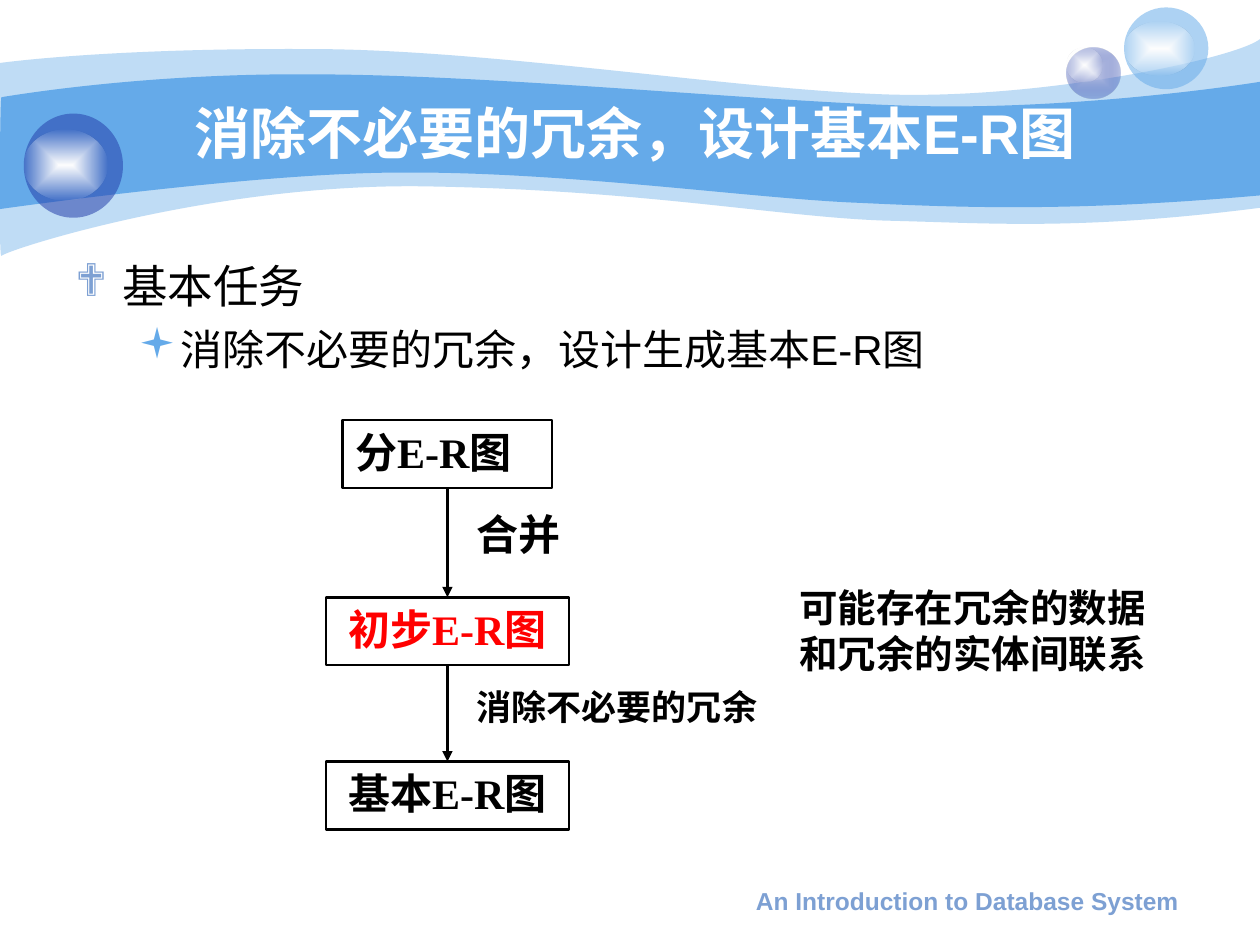
"""Build the slide on removing redundancy from a preliminary E-R diagram."""
from lxml.etree import SubElement
from pptx import Presentation
from pptx.dml.color import RGBColor
from pptx.enum.shapes import MSO_CONNECTOR, MSO_SHAPE
from pptx.enum.text import MSO_ANCHOR, PP_ALIGN
from pptx.oxml.ns import qn
from pptx.util import Cm, Pt

BLACK = RGBColor(0x00, 0x00, 0x00)
WHITE = RGBColor(0xFF, 0xFF, 0xFF)
RED = RGBColor(0xFF, 0x00, 0x00)
SKY = RGBColor(0x65, 0xAA, 0xE9)
NAVY = RGBColor(0x23, 0x3D, 0xA9)
LAVENDER = RGBColor(0xC7, 0xCE, 0xE9)
STEEL = RGBColor(0x7D, 0xA0, 0xD3)

SANS = "Arial"
SERIF = "Times New Roman"
FLOW_CENTER = 9.02
BOX_HEIGHT = 1.37

OUTER_WAVE = [
    [(0, 1.27)],
    [(0.61, 1.19), (2.72, 0.97), (6.27, 0.99)],
    [(9.8, 0.99), (14.6, 1.78), (17.75, 1.9)],
    [(20.88, 2.03), (24.89, 1.19), (25.4, 0.79)],
    [(25.4, 4.19)],
    [(21.79, 4.65), (19.99, 4.5), (17.91, 4.45)],
    [(15.8, 4.39), (13.08, 3.84), (8.71, 3.76)],
    [(4.37, 3.66), (0.1, 5.05), (0.03, 5.16)],
    [(-0.03, 5.28), (0, 1.9), (0, 1.27)],
]
INNER_WAVE = [
    [(0.03, 1.96)],
    [(0.05, 1.96), (2.79, 1.47), (6.3, 1.5)],
    [(9.8, 1.5), (15.11, 2.03), (18.24, 2.13)],
    [(21.36, 2.24), (24.79, 1.75), (25.4, 1.65)],
    [(25.4, 3.94)],
    [(21.67, 4.27), (19.43, 4.19), (17.32, 4.09)],
    [(15.21, 4.01), (11.35, 3.45), (8.05, 3.48)],
    [(5.16, 3.48), (-0.05, 4.22), (-0.03, 4.22)],
    [(0, 4.22), (0, 1.96), (0.03, 1.96)],
]


def set_alpha(color_element, percent):
    """Make a colour element partly transparent."""
    SubElement(color_element, qn("a:alpha")).set("val", str(percent * 1000))


def fill_solid(shape, color, alpha=100):
    """Fill a shape with one colour and no outline."""
    shape.shadow.inherit = False
    shape.line.fill.background()
    shape.fill.solid()
    shape.fill.fore_color.rgb = color
    if alpha < 100:
        set_alpha(shape._element.spPr.find(".//" + qn("a:srgbClr")), alpha)


def fill_glow(shape, center, edge, edge_alpha):
    """Fill a shape with a gradient from its centre to a transparent edge."""
    shape.shadow.inherit = False
    shape.line.fill.background()
    shape.fill.gradient()
    for stop, color, position in zip(shape.fill.gradient_stops, (center, edge), (0, 1)):
        stop.color.rgb = color
        stop.position = position
    gradient = shape._element.spPr.find(qn("a:gradFill"))
    set_alpha(gradient.findall(".//" + qn("a:srgbClr"))[1], edge_alpha)
    gradient.remove(gradient.find(qn("a:lin")))
    focus = SubElement(gradient, qn("a:path"))
    focus.set("path", "rect")
    rectangle = SubElement(focus, qn("a:fillToRect"))
    for side in "ltrb":
        rectangle.set(side, "50000")


def bend_outline(shape, segments):
    """Turn each run of three outline points into one cubic curve."""
    outline = shape._element.spPr.find(".//" + qn("a:path"))
    close = outline.find(qn("a:close"))
    lines = iter(outline.findall(qn("a:lnTo")))
    for segment in segments[1:]:
        if len(segment) == 3:
            curve = SubElement(outline, qn("a:cubicBezTo"))
            for _ in segment:
                line = next(lines)
                curve.append(line[0])
                outline.remove(line)
        else:
            outline.append(next(lines))
    outline.append(close)


def add_wave(slide, segments, alpha=100):
    """Draw a closed band from curves and straight segments."""
    vertices = [(Cm(x), Cm(y)) for segment in segments for x, y in segment]
    builder = slide.shapes.build_freeform(*vertices[0])
    builder.add_line_segments(vertices[1:], close=True)
    wave = builder.convert_to_shape()
    bend_outline(wave, segments)
    fill_solid(wave, SKY, alpha)


def add_ellipse(slide, *frame):
    """Add an ellipse at left, top, width and height."""
    return slide.shapes.add_shape(MSO_SHAPE.OVAL, *map(Cm, frame))


def add_highlight(slide, *frame):
    """Add a white glow on a bubble."""
    fill_glow(add_ellipse(slide, *frame), WHITE, WHITE, 0)


def format_run(run, size, color, font, bold):
    """Set the look of a run."""
    run.font.size = Pt(size)
    run.font.color.rgb = color
    run.font.name = font
    run.font.bold = bold


def write_text(shape, text, size, color=BLACK, font=SERIF, align=PP_ALIGN.JUSTIFY,
               anchor=MSO_ANCHOR.TOP, wrap=True):
    """Write bold text into a shape."""
    frame = shape.text_frame
    frame.word_wrap = wrap
    frame.vertical_anchor = anchor
    frame.text = text
    for paragraph in frame.paragraphs:
        paragraph.alignment = align
        for run in paragraph.runs:
            format_run(run, size, color, font, True)


def add_label(slide, frame, text, size, **style):
    """Add a text box with bold text."""
    write_text(slide.shapes.add_textbox(*map(Cm, frame)), text, size, **style)


def add_flow_box(slide, top, width, text, **style):
    """Add an outlined box centred on the flow."""
    frame = (FLOW_CENTER - width / 2, top, width, BOX_HEIGHT)
    box = slide.shapes.add_shape(MSO_SHAPE.RECTANGLE, *map(Cm, frame))
    box.shadow.inherit = False
    box.fill.background()
    box.line.color.rgb = BLACK
    box.line.width = Pt(1.5)
    write_text(box, text, 24, **style)


def add_flow_arrow(slide, top, bottom):
    """Add a downward arrow on the centre of the flow."""
    center = Cm(FLOW_CENTER)
    arrow = slide.shapes.add_connector(MSO_CONNECTOR.STRAIGHT, center, Cm(top), center, Cm(bottom))
    arrow.line.color.rgb = BLACK
    arrow.line.width = Pt(1.5)
    SubElement(arrow.line._ln, qn("a:tailEnd")).set("type", "triangle")
    SubElement(arrow._element.spPr, qn("a:effectLst"))


def format_bullet(paragraph, mark, color, margin, hanging, size):
    """Give a paragraph a coloured bullet and a hanging indent."""
    properties = paragraph._p.get_or_add_pPr()
    properties.set("marL", str(Cm(margin)))
    properties.set("indent", str(-Cm(hanging)))
    bullet_color = SubElement(properties, qn("a:buClr"))
    SubElement(bullet_color, qn("a:srgbClr")).set("val", str(color))
    SubElement(properties, qn("a:buFont")).set("typeface", "Wingdings")
    SubElement(properties, qn("a:buChar")).set("char", mark)
    for run in paragraph.runs:
        format_run(run, size, BLACK, SANS, False)


def add_task_list(slide):
    """Add the bulleted task and its detail."""
    frame = slide.shapes.add_textbox(Cm(1.27), Cm(5.08), Cm(22.86), Cm(12.5)).text_frame
    frame.word_wrap = True
    frame.text = "基本任务\n消除不必要的冗余，设计生成基本E-R图"
    task, detail = frame.paragraphs
    format_bullet(task, "❖", STEEL, 0.95, 0.95, 26)
    format_bullet(detail, "▪", SKY, 2.06, 0.79, 24)
    detail.level = 1
    detail.space_before = Pt(6)


def add_decoration(slide):
    """Draw the waves and bubbles of the heading."""
    add_wave(slide, OUTER_WAVE, 41)
    add_wave(slide, INNER_WAVE)
    fill_glow(add_ellipse(slide, 21.51, 0.97, 1.07, 1.02), LAVENDER, NAVY, 31)
    add_highlight(slide, 21.51, 0.97, 0.71, 0.69)
    fill_solid(add_ellipse(slide, 22.66, 0.15, 1.7, 1.65), SKY, 53)
    add_highlight(slide, 22.66, 0.43, 1.42, 1.09)
    fill_solid(add_ellipse(slide, 0.48, 2.29, 2, 2.1), NAVY, 53)
    add_highlight(slide, 0.48, 2.62, 1.68, 1.42)


def add_flow(slide):
    """Draw the steps from partial to basic E-R diagram."""
    add_flow_box(slide, 8.47, 4.22, "分E-R图")
    add_flow_box(slide, 12.04, 4.9, "初步E-R图", color=RED, align=PP_ALIGN.CENTER, wrap=False)
    add_flow_box(slide, 15.35, 4.9, "基本E-R图", align=PP_ALIGN.CENTER, wrap=False)
    add_flow_arrow(slide, 8.47 + BOX_HEIGHT, 12.04)
    add_flow_arrow(slide, 12.04 + BOX_HEIGHT, 15.35)
    add_label(slide, (9.36, 10.12, 3.15, 1.09), "合并", 24)
    add_label(slide, (9.36, 13.69, 7.7, 1.37), "消除不必要的冗余", 20)
    add_label(slide, (15.87, 11.64, 8.26, 2.11), "可能存在冗余的数据\n和冗余的实体间联系", 22)


def main():
    """Build and save the slide."""
    presentation = Presentation()
    presentation.slide_width, presentation.slide_height = Cm(25.4), Cm(19.05)
    slide = presentation.slides.add_slide(presentation.slide_layouts[6])
    add_decoration(slide)
    centered = {"font": SANS, "align": PP_ALIGN.CENTER}
    add_label(slide, (14.5, 17.73, 10.01, 0.89), "An Introduction to Database System", 14, color=STEEL, **centered)
    add_label(slide, (2.54, 1.88, 20.52, 1.57), "消除不必要的冗余，设计基本E-R图", 32,
              color=WHITE, anchor=MSO_ANCHOR.MIDDLE, **centered)
    add_task_list(slide)
    add_flow(slide)
    presentation.save("out.pptx")


if __name__ == "__main__":
    main()
